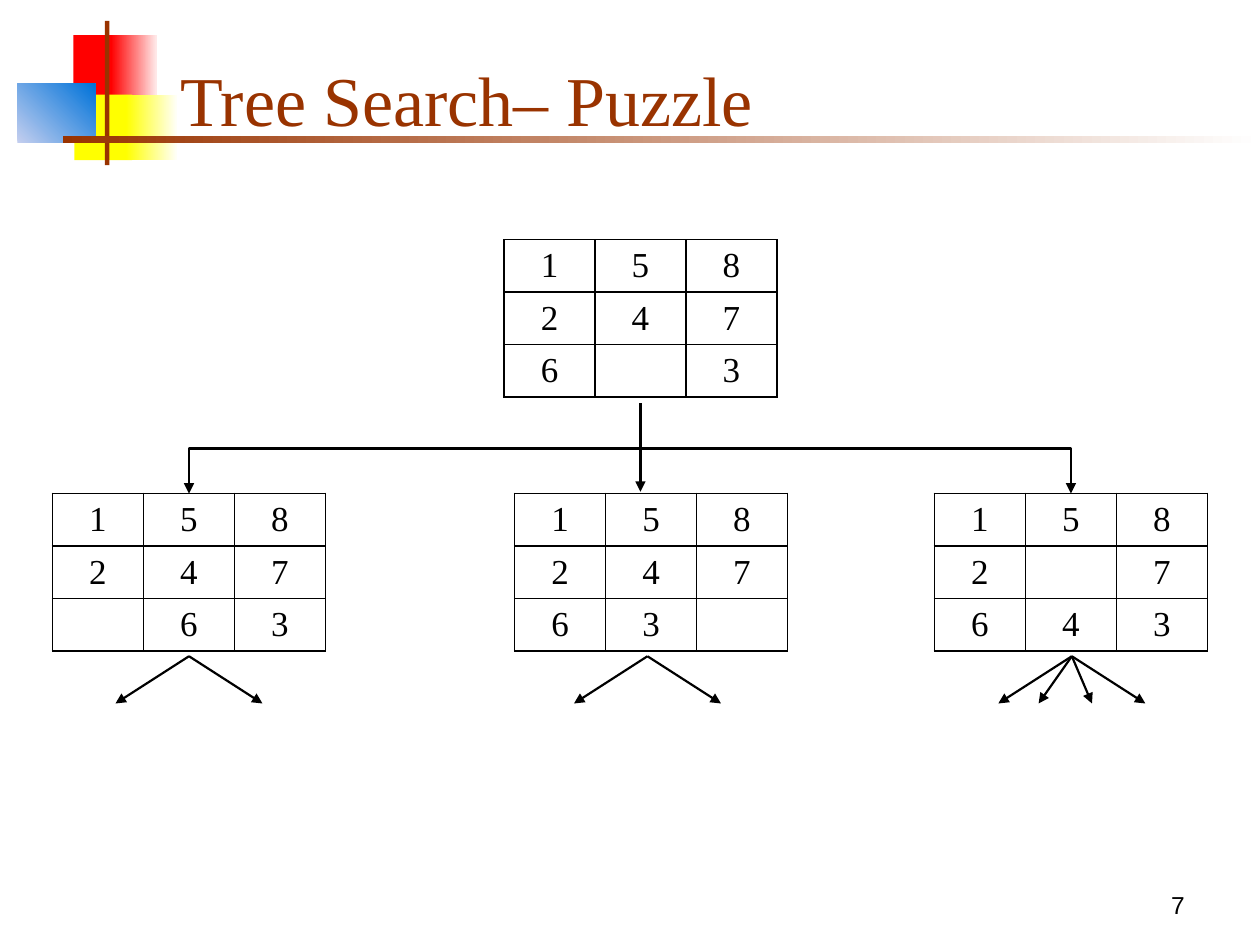
import dataclasses

import lxml.etree
import pptx
import pptx.dml.color
import pptx.enum.shapes
import pptx.enum.text
import pptx.oxml.ns
import pptx.util

Pt = pptx.util.Pt
qn = pptx.oxml.ns.qn
ALIGN = pptx.enum.text.PP_ALIGN
ANCHOR = pptx.enum.text.MSO_ANCHOR
CONNECTOR = pptx.enum.shapes.MSO_CONNECTOR


@dataclasses.dataclass(frozen=True)
class Theme:
    ink: str = "000000"
    accent: str = "993300"
    white: str = "FFFFFF"
    red: str = "FF0000"
    pale_red: str = "FFEAEA"
    yellow: str = "FFFF00"
    pale_yellow: str = "FFFFF8"
    blue: str = "0073D9"
    pale_blue: str = "C4CFEF"
    serif: str = "Times New Roman"
    sans: str = "Arial"
    title_size: int = 40
    tile_size: int = 20
    number_size: int = 14
    border: float = 1
    arrow: float = 1.25


THEME = Theme()


def rgb(colour):
    return pptx.dml.color.RGBColor.from_string(colour)


def set_text(frame, text, font, size, colour, align):
    frame.text = text
    para = frame.paragraphs[0]
    para.alignment = align
    for span in para.runs:
        span.font.name = font
        span.font.size = Pt(size)
        span.font.color.rgb = rgb(colour)


def add_block(page, box, start, end=None, angle=0):
    """Add a borderless rectangle, solid or with a two-colour gradient."""
    block = page.shapes.add_shape(
        pptx.enum.shapes.MSO_SHAPE.RECTANGLE, *map(Pt, box))
    block.shadow.inherit = False
    block.line.fill.background()
    if end is None:
        block.fill.solid()
        block.fill.fore_color.rgb = rgb(start)
        return
    block.fill.gradient()
    block.fill.gradient_angle = angle
    for stop, colour, position in zip(block.fill.gradient_stops, (start, end), (0, 1)):
        stop.color.rgb = rgb(colour)
        stop.position = position


def add_header(page, box, title_text):
    """Coloured squares, crossing bars and the title."""
    left, top, width, height = box
    blocks = [
        ((32, 8, 25, 37.5), THEME.red, None, 0),
        ((53.5, 8, 26, 37.5), THEME.red, THEME.pale_red, 0),
        ((32.5, 42, 33, 37.5), THEME.yellow, None, 0),
        ((62, 42, 29, 37.5), THEME.yellow, THEME.pale_yellow, 0),
        ((0, 36, 44.5, 33.5), THEME.pale_blue, THEME.blue, 45),
        ((50, 0, 2.5, 82.5), THEME.accent, None, 0),
        ((26, 65.5, width - 26, 4), THEME.accent, THEME.white, 0),
    ]
    for (x, y, w, h), start, end, angle in blocks:
        add_block(page, (left + x, top + y, w, h), start, end, angle)

    title = page.shapes.title
    title.left, title.top = Pt(left + 86), Pt(top + 6)
    title.width, title.height = Pt(613), Pt(66)
    frame = title.text_frame
    frame.vertical_anchor = ANCHOR.BOTTOM
    frame.auto_size = pptx.enum.text.MSO_AUTO_SIZE.NONE
    set_text(frame, title_text, THEME.serif, THEME.title_size, THEME.accent, ALIGN.LEFT)
    # The title stands in front of the decoration
    title.element.getparent().append(title.element)


def add_page_number(page, box, number):
    frame = page.shapes.add_textbox(*map(Pt, box)).text_frame
    frame.word_wrap = True
    frame.vertical_anchor = ANCHOR.BOTTOM
    set_text(frame, number, THEME.sans, THEME.number_size, THEME.ink, ALIGN.RIGHT)


def add_borders(cell):
    properties = cell._tc.get_or_add_tcPr()
    for side in ("lnL", "lnR", "lnT", "lnB"):
        edge = lxml.etree.SubElement(properties, qn("a:" + side), w=str(Pt(THEME.border)))
        fill = lxml.etree.SubElement(edge, qn("a:solidFill"))
        lxml.etree.SubElement(fill, qn("a:srgbClr"), val=THEME.ink)


def add_board(page, box, rows):
    """One puzzle state; a space in a row is the empty square."""
    width, height = box[2:]
    table = page.shapes.add_table(len(rows), len(rows[0]), *map(Pt, box)).table
    table.first_row = table.horz_banding = False
    for column in table.columns:
        column.width = Pt(width / len(rows[0]))
    for row, tiles in zip(table.rows, rows):
        row.height = Pt(height / len(rows))
        for cell, tile in zip(row.cells, tiles):
            add_borders(cell)
            cell.fill.background()
            cell.margin_top = cell.margin_bottom = Pt(2)
            cell.vertical_anchor = ANCHOR.MIDDLE
            set_text(cell.text_frame, tile.strip(), THEME.serif,
                     THEME.tile_size, THEME.ink, ALIGN.CENTER)


def add_arrow(page, start, end, kind=CONNECTOR.STRAIGHT):
    arrow = page.shapes.add_connector(kind, *map(Pt, (*start, *end)))
    arrow.line.color.rgb = rgb(THEME.ink)
    arrow.line.width = Pt(THEME.arrow)
    line = arrow.line._get_or_add_ln()
    lxml.etree.SubElement(line, qn("a:tailEnd"), type="triangle")
    lxml.etree.SubElement(arrow._element.spPr, qn("a:effectLst"))
    return arrow


def add_elbow(page, start, end):
    """Down, across, down: a sideways elbow turned by a quarter."""
    centre_x, centre_y = (start[0] + end[0]) / 2, (start[1] + end[1]) / 2
    half_span = abs(end[0] - start[0]) / 2
    half_drop = (end[1] - start[1]) / 2
    goes_right = end[0] > start[0]
    if goes_right:
        half_drop = -half_drop
    elbow = add_arrow(page, (centre_x - half_drop, centre_y - half_span),
                      (centre_x + half_drop, centre_y + half_span), CONNECTOR.ELBOW)
    frame = elbow._element.spPr.find(qn("a:xfrm"))
    frame.set("rot", str((270 if goes_right else 90) * 60000))


def add_tree(page, box):
    """Root state, its three successors and the arrows leading on."""
    left, top, width, height = box
    board_width, board_height = 156, 90
    child_top = top + 145
    root_x, root_foot = left + 336, top + 93.5
    fan_top, fan_foot = child_top + 93, top + height

    add_board(page, (left + 258, top, board_width, board_height), ["158", "247", "6 3"])
    pair, four = (-42, 42), (-42, 42, -19, 11.5)
    children = [
        (0, ["158", "247", " 63"], 78, pair),
        (264, ["158", "247", "63 "], 340, pair),
        (width - board_width, ["158", "2 7", "643"], width - 77.5, four),
    ]
    for offset, rows, apex, fan in children:
        add_board(page, (left + offset, child_top, board_width, board_height), rows)
        for reach in fan:
            add_arrow(page, (left + apex, fan_top), (left + apex + reach, fan_foot))

    # Branches from the root
    for child_x in (left + board_width / 2, left + width - board_width / 2):
        add_elbow(page, (root_x, root_foot), (child_x, child_top))
    add_arrow(page, (root_x, top + 120), (root_x, child_top - 1))


def main():
    deck = pptx.Presentation()
    deck.slide_width, deck.slide_height = Pt(720), Pt(540)
    page = deck.slides.add_slide(deck.slide_layouts[5])
    add_header(page, (10, 12, 710, 83), "Tree Search– Puzzle")
    add_page_number(page, (516, 504, 168, 25), "7")
    add_tree(page, (30, 137, 660, 265))
    deck.save("out.pptx")


if __name__ == "__main__":
    main()
